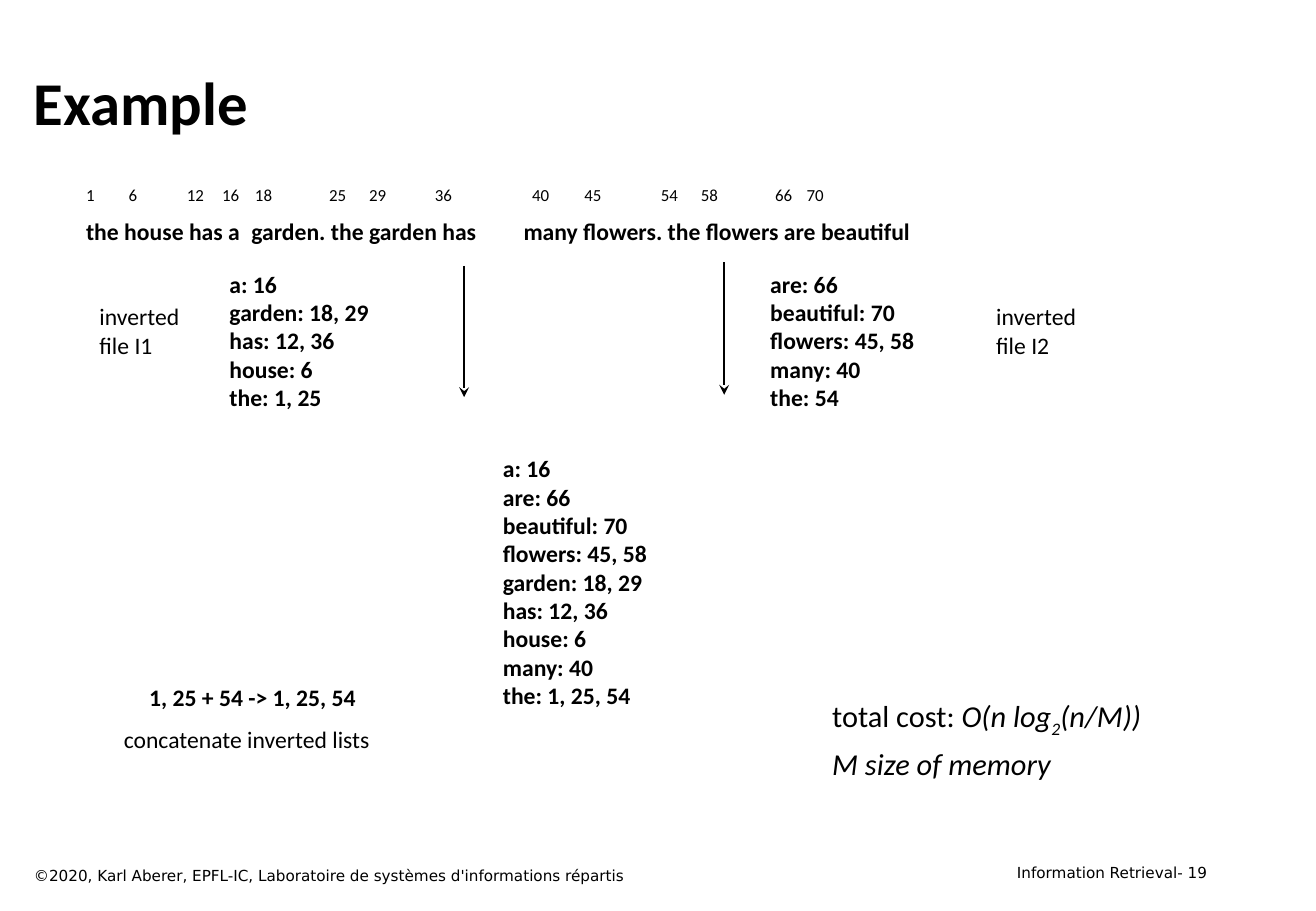
from lxml import etree
from pptx import Presentation
from pptx import util as u
from pptx.dml.color import RGBColor
from pptx.enum import shapes, text
from pptx.oxml import ns

PX = 9144  # EMU in one px, 100 px to the inch
COLORS = {"ink": "000000", "paper": "FFFFFF"}
BODY_FONT, FOOTER_FONT = "Calibri", "DejaVu Sans"

INDEX_1 = {"a": [16], "garden": [18, 29], "has": [12, 36], "house": [6], "the": [1, 25]}
INDEX_2 = {"are": [66], "beautiful": [70], "flowers": [45, 58], "many": [40], "the": [54]}
WORD_STARTS = {1: 0, 6: 35, 12: 83, 16: 112, 18: 139, 25: 200, 29: 233, 36: 287,
               40: 367, 45: 410, 54: 473, 58: 506, 66: 567, 70: 593}


def px(length):
    return u.Emu(length * PX)


def entries(index):
    """Lines such as 'word: 1, 25' in alphabetical order."""
    return [f"{word}: {', '.join(map(str, index[word]))}" for word in sorted(index)]


class Page:
    def __init__(self, width, height):
        self.deck = Presentation()
        self.deck.slide_width, self.deck.slide_height = px(width), px(height)
        self.slide = self.deck.slides.add_slide(self.deck.slide_layouts[6])
        background = self.slide.background.fill
        background.solid()
        background.fore_color.rgb = RGBColor.from_string(COLORS["paper"])

    def style(self, run, size, bold=False, font=BODY_FONT):
        run.font.size, run.font.bold, run.font.name = u.Pt(size), bold, font
        run.font.color.rgb = RGBColor.from_string(COLORS["ink"])

    def label(self, box, lines, size=14, bold=False, font=BODY_FONT,
              align=text.PP_ALIGN.LEFT, anchor=text.MSO_ANCHOR.TOP):
        frame = self.slide.shapes.add_textbox(*map(px, box)).text_frame
        frame.word_wrap = True
        frame.vertical_anchor = anchor
        frame.text = "\n".join(lines)
        for paragraph in frame.paragraphs:
            paragraph.alignment = align
            for run in paragraph.runs:
                self.style(run, size, bold, font)
        return frame

    def tabs(self, paragraph, stops):
        tab_list = etree.SubElement(paragraph._p.get_or_add_pPr(), ns.qn("a:tabLst"))
        for stop in stops:
            etree.SubElement(tab_list, ns.qn("a:tab"), pos=str(px(stop)), algn="l")

    def arrow_down(self, x, top, bottom):
        arrow = self.slide.shapes.add_connector(
            shapes.MSO_CONNECTOR.STRAIGHT, px(x), px(top), px(x), px(bottom))
        arrow.line.width = u.Pt(1)
        arrow.line.color.rgb = RGBColor.from_string(COLORS["ink"])
        etree.SubElement(arrow.line._get_or_add_ln(), ns.qn("a:tailEnd"), type="stealth")
        etree.SubElement(arrow._element.spPr, ns.qn("a:effectLst"))

    def sentence(self, box):
        """The sample text below the positions where its words start."""
        positions, words = self.label(box, [
            "\t".join(map(str, WORD_STARTS)),
            "the house has a\tgarden. the garden has\tmany flowers. the flowers are beautiful",
        ]).paragraphs
        self.tabs(positions, list(WORD_STARTS.values())[1:])
        self.tabs(words, [136, 360])
        words.space_before = u.Pt(7)
        for run in positions.runs:
            self.style(run, 10)
        for run in words.runs:
            self.style(run, 14, bold=True)

    def cost(self, box):
        formula, memory = self.label(box, ["total cost: ", "M size of memory"], 18).paragraphs
        for part in ("O(n log", "2", "(n/M))"):
            run = formula.add_run()
            run.text = part
            self.style(run, 18)
            run.font.italic = True
            if part == "2":
                run._r.get_or_add_rPr().set("baseline", "-25000")
        memory.runs[0].font.italic = True
        memory.space_before = u.Pt(4)


def main():
    page = Page(1083, 750)
    page.label((777, 706, 226, 25), ["Information Retrieval- 19"], 9,
               font=FOOTER_FONT, align=text.PP_ALIGN.RIGHT)
    page.label((18, 708, 695, 25),
               ["©2020, Karl Aberer, EPFL-IC, Laboratoire de systèmes d'informations répartis"],
               9, font=FOOTER_FONT)
    page.label((18, 33, 984, 100), ["Example"], 36, bold=True, anchor=text.MSO_ANCHOR.MIDDLE)
    page.sentence((61, 147, 908, 88))

    merged = {word: INDEX_1.get(word, []) + INDEX_2.get(word, [])
              for word in {**INDEX_1, **INDEX_2}}
    for index, x, y, height in ((INDEX_2, 624, 217, 128), (INDEX_1, 179, 217, 128),
                                (merged, 404, 369, 222)):
        page.label((x, y, 140, height), entries(index), bold=True)
    for name, x in (("I1", 72), ("I2", 810)):
        page.label((x, 244, 91, 57), ["inverted", f"file {name}"])

    page.arrow_down(382, 219, 327)
    page.arrow_down(596, 216, 325)

    page.label((113, 557, 200, 34), ["1, 25 + 54 -> 1, 25, 54"], bold=True)
    page.label((92, 592, 225, 34), ["concatenate inverted lists"])
    page.cost((675, 569, 279, 77))
    page.deck.save("out.pptx")


if __name__ == "__main__":
    main()
